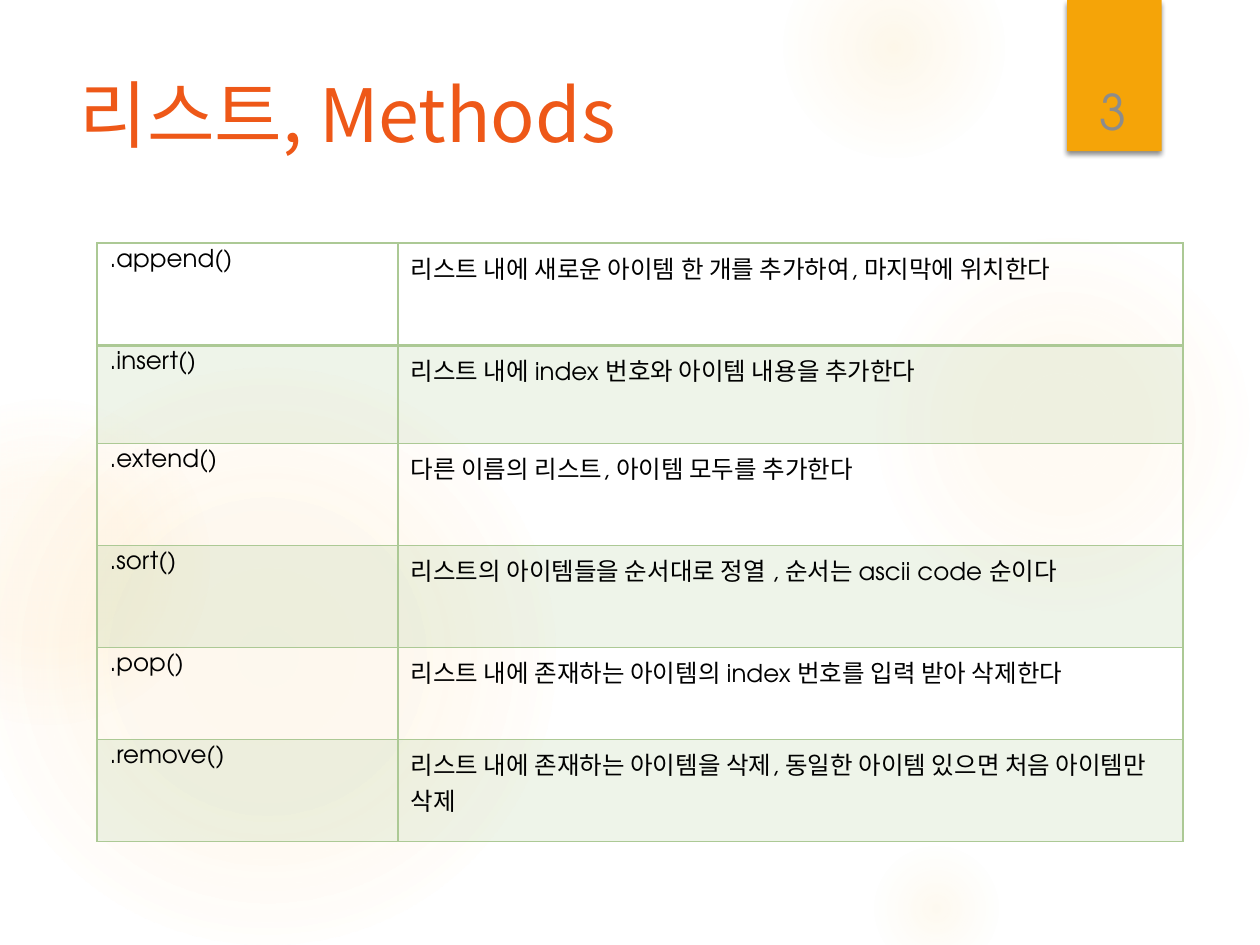
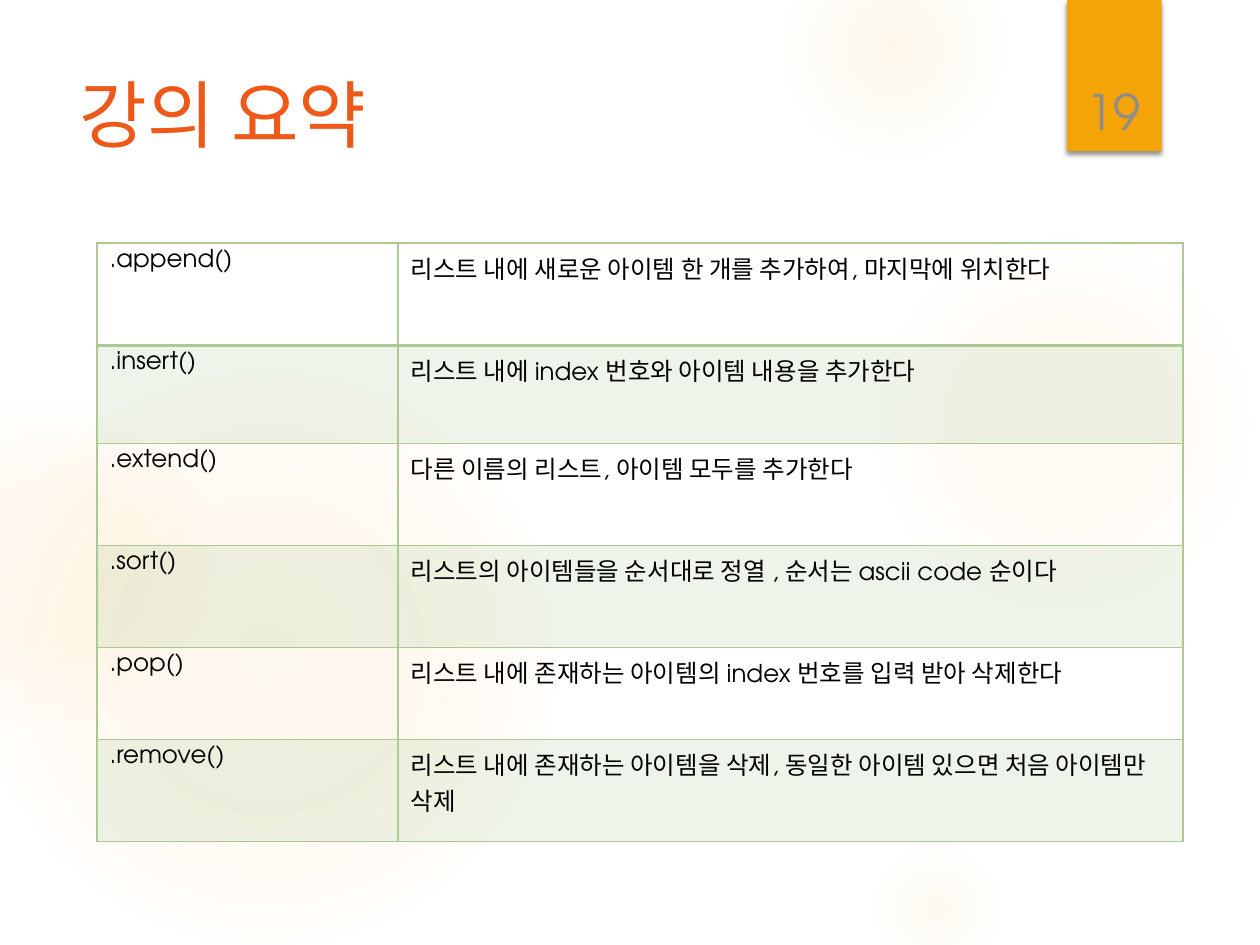
"""Builds two slides that list the methods of a Python list."""
from dataclasses import dataclass

from lxml.etree import SubElement
from pptx import Presentation
from pptx.dml.color import RGBColor
from pptx.enum.shapes import MSO_SHAPE
from pptx.enum.text import MSO_ANCHOR, PP_ALIGN
from pptx.oxml import parse_xml
from pptx.oxml.ns import nsdecls, qn
from pptx.util import Inches, Pt


@dataclass(frozen=True)
class Theme:
    title: str = "EE5818"
    glow: str = "FAC96A"
    ribbon: str = "F5A408"
    number: str = "8C8C8C"
    grid: str = "ACC995"
    text: str = "000000"
    band_alpha: int = 20
    title_size: int = 42
    number_size: int = 28
    cell_size: int = 14
    korean: str = "Noto Sans CJK KR"
    latin: str = "TeX Gyre Adventor"


GLOWS = [
    (6.89, 1.83, 3.08, [(0, 7), (36, 6), (69, 0)]),
    (6.22, -0.5, 1.75, [(0, 14), (36, 7), (73, 0)]),
    (6.89, 6.67, 1.08, [(0, 10), (31, 5), (66, 0)]),
    (-0.17, 2.92, 4.58, [(0, 11), (36, 10), (75, 0)]),
    (-0.92, 3.17, 2.58, [(0, 8), (36, 8), (72, 0)]),
]

METHODS = [
    (".append()", "리스트 내에 새로운 아이템 한 개를 추가하여, 마지막에 위치한다"),
    (".insert()", "리스트 내에 index 번호와 아이템 내용을 추가한다"),
    (".extend()", "다른 이름의 리스트, 아이템 모두를 추가한다"),
    (".sort()", "리스트의 아이템들을 순서대로 정열 , 순서는 ascii code 순이다"),
    (".pop()", "리스트 내에 존재하는 아이템의 index 번호를 입력 받아 삭제한다"),
    (".remove()", "리스트 내에 존재하는 아이템을 삭제, 동일한 아이템 있으면 처음 아이템만 삭제"),
]
COLUMN_WIDTHS = [2.39, 6.23]
ROW_HEIGHTS = [0.81, 0.78, 0.81, 0.81, 0.73, 0.81]


def color_xml(color, alpha=100):
    return f'<a:srgbClr val="{color}"><a:alpha val="{alpha * 1000}"/></a:srgbClr>'


class Deck:
    def __init__(self, theme):
        self.theme = theme
        self.presentation = Presentation()
        self.presentation.slide_width = Inches(10)
        self.presentation.slide_height = Inches(7.5)
        self.slide = None

    def add_slide(self, title, number):
        layout = self.presentation.slide_layouts[5]
        self.slide = self.presentation.slides.add_slide(layout)
        for glow in GLOWS:
            self.add_glow(*glow)
        self.add_ribbon()
        self.place_title(title)
        self.add_number(number)

    def style(self, paragraph, size, color, latin):
        font = paragraph.font
        font.size = Pt(size)
        font.name = latin
        font.color.rgb = RGBColor.from_string(color)
        properties = paragraph._p.pPr.find(qn("a:defRPr"))
        SubElement(properties, qn("a:ea")).set("typeface", self.theme.korean)
        for run in paragraph.runs:
            run.font.size = Pt(size)
            run.font.name = latin
            run.font.color.rgb = RGBColor.from_string(color)
            SubElement(run._r.rPr, qn("a:ea")).set("typeface", self.theme.korean)

    def add_shape(self, kind, left, top, width, height):
        shape = self.slide.shapes.add_shape(
            kind, Inches(left), Inches(top), Inches(width), Inches(height))
        shape.shadow.inherit = False
        shape.line.fill.background()
        return shape

    def add_glow(self, left, top, size, stops):
        glow = self.add_shape(MSO_SHAPE.OVAL, left, top, size, size)
        stops_xml = "".join(
            f'<a:gs pos="{place * 1000}">{color_xml(self.theme.glow, alpha)}</a:gs>'
            for place, alpha in stops)
        gradient = parse_xml(
            f'<a:gradFill {nsdecls("a")} rotWithShape="1"><a:gsLst>{stops_xml}</a:gsLst>'
            '<a:path path="circle"><a:fillToRect l="50000" t="50000" r="50000" b="50000"/>'
            '</a:path></a:gradFill>')
        glow._element.spPr.find(qn("a:prstGeom")).addnext(gradient)

    def add_ribbon(self):
        ribbon = self.add_shape(MSO_SHAPE.RECTANGLE, 8.47, 0, 0.75, 1.2)
        ribbon.fill.solid()
        ribbon.fill.fore_color.rgb = RGBColor.from_string(self.theme.ribbon)
        effects = ribbon._element.spPr.find(qn("a:effectLst"))
        effects.append(parse_xml(
            f'<a:outerShdw {nsdecls("a")} blurRad="{Pt(3)}" dist="{Pt(2)}" dir="5400000" '
            f'algn="t" rotWithShape="0">{color_xml("000000", 45)}</a:outerShdw>'))

    def place_title(self, text):
        title = self.slide.shapes.title
        self.slide.shapes._spTree.append(title._element)
        title.left, title.top = Inches(0.53), Inches(0.5)
        title.width, title.height = Inches(7.72), Inches(1.53)
        frame = title.text_frame
        frame.text = text
        frame.vertical_anchor = MSO_ANCHOR.TOP
        frame.paragraphs[0].alignment = PP_ALIGN.LEFT
        self.style(frame.paragraphs[0], self.theme.title_size,
                   self.theme.title, self.theme.korean)

    def add_number(self, number):
        frame = self.slide.shapes.add_textbox(
            Inches(8.49), Inches(0.32), Inches(0.69), Inches(0.84)).text_frame
        frame.word_wrap = True
        frame.vertical_anchor = MSO_ANCHOR.BOTTOM
        frame.text = str(number)
        frame.paragraphs[0].alignment = PP_ALIGN.CENTER
        self.style(frame.paragraphs[0], self.theme.number_size,
                   self.theme.number, self.theme.latin)

    def add_methods(self):
        table = self.slide.shapes.add_table(
            len(METHODS), len(COLUMN_WIDTHS), Inches(0.77), Inches(1.93),
            Inches(sum(COLUMN_WIDTHS)), Inches(sum(ROW_HEIGHTS))).table
        table.first_row = table.horz_banding = False
        for column, width in zip(table.columns, COLUMN_WIDTHS):
            column.width = Inches(width)
        for row, height in zip(table.rows, ROW_HEIGHTS):
            row.height = Inches(height)
        for index, method in enumerate(METHODS):
            for cell, text in zip(table.rows[index].cells, method):
                cell.text = text
                self.style(cell.text_frame.paragraphs[0], self.theme.cell_size,
                           self.theme.text, self.theme.latin)
                self.fill_cell(cell, banded=index % 2 == 1)
                self.border_cell(cell, top=2 if index == 1 else 1,
                                 bottom=2 if index == 0 else 1)

    def fill_cell(self, cell, banded):
        if not banded:
            cell.fill.background()
            return
        cell.fill.solid()
        cell.fill.fore_color.rgb = RGBColor.from_string(self.theme.grid)
        color = cell._tc.tcPr.find(".//" + qn("a:srgbClr"))
        SubElement(color, qn("a:alpha")).set("val", str(self.theme.band_alpha * 1000))

    def border_cell(self, cell, top, bottom):
        sides = [("L", 1), ("R", 1), ("T", top), ("B", bottom)]
        for position, (side, width) in enumerate(sides):
            cell._tc.tcPr.insert(position, parse_xml(
                f'<a:ln{side} {nsdecls("a")} w="{Pt(width)}"><a:solidFill>'
                f'{color_xml(self.theme.grid)}</a:solidFill></a:ln{side}>'))


def main():
    deck = Deck(Theme())
    for title, number in [("리스트, Methods", 3), ("강의 요약", 19)]:
        deck.add_slide(title, number)
        deck.add_methods()
    deck.presentation.save("out.pptx")


if __name__ == "__main__":
    main()
